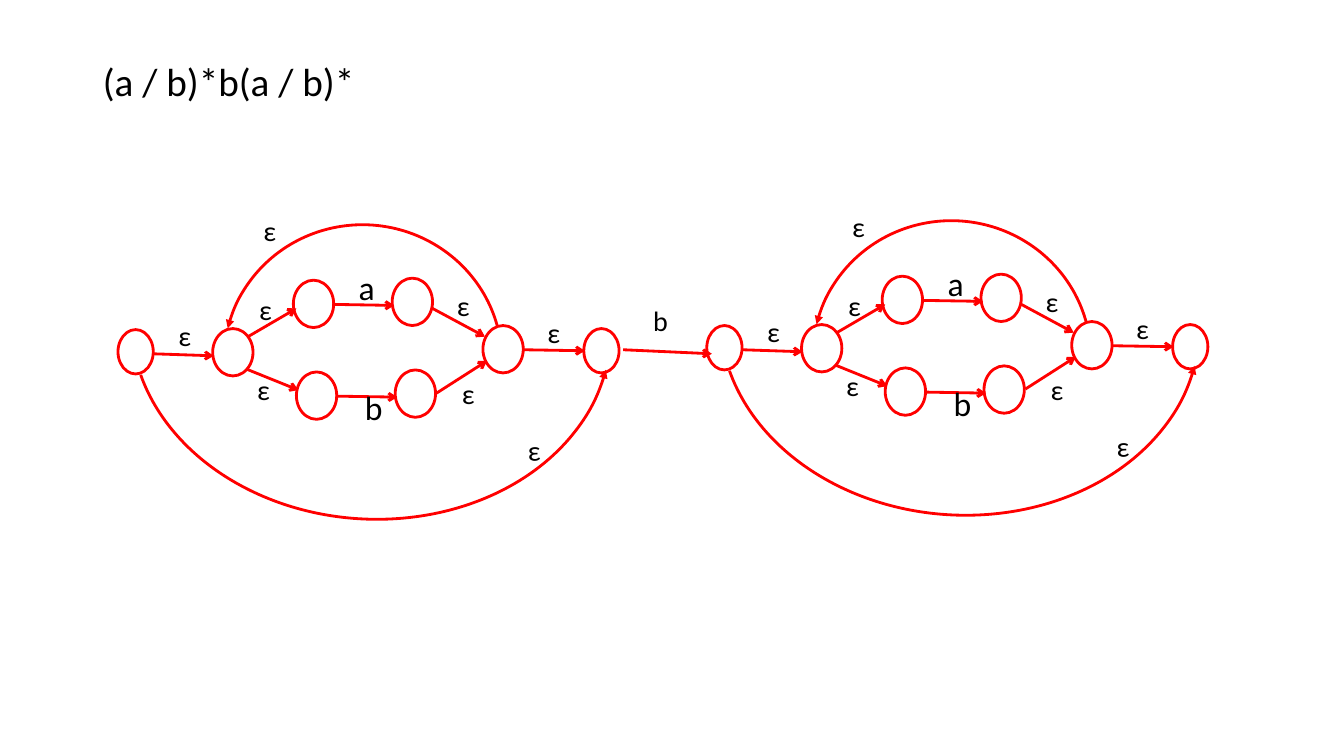
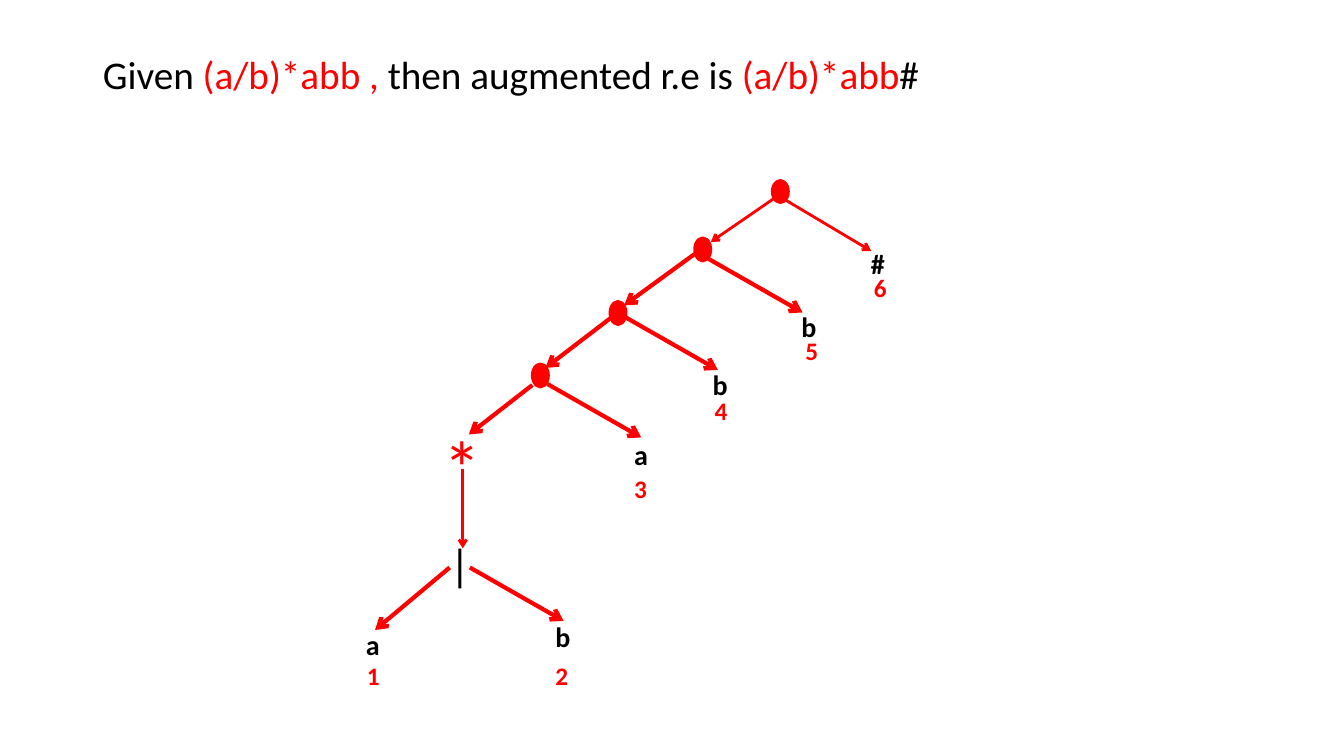
from dataclasses import dataclass
from typing import NamedTuple

from lxml import etree
from pptx import Presentation
from pptx.dml.color import RGBColor
from pptx.enum.shapes import MSO_CONNECTOR, MSO_SHAPE
from pptx.enum.text import MSO_ANCHOR, MSO_AUTO_SIZE, PP_ALIGN
from pptx.oxml import parse_xml
from pptx.oxml.ns import nsdecls, qn
from pptx.shapes.autoshape import Shape
from pptx.shapes.shapetree import GroupShapes
from pptx.slide import Slide
from pptx.util import Inches, Pt


@dataclass(frozen=True)
class Theme:
    font: str = "Calibri"
    red: RGBColor = RGBColor(0xFF, 0x00, 0x00)
    black: RGBColor = RGBColor(0x00, 0x00, 0x00)
    heading: int = 28
    letter: int = 24
    symbol: int = 20
    position: int = 18
    star: int = 54
    bar: int = 32
    line: float = 2
    heavy_line: float = 3


THEME = Theme()


class Span(NamedTuple):
    text: str
    color: RGBColor = THEME.black


class Label(NamedTuple):
    text: str
    left: float
    top: float
    width: float = 0.22
    height: float = 0.23
    size: int = THEME.symbol
    color: RGBColor = THEME.black
    bold: bool = False
    rotation: float = 0


class State(NamedTuple):
    left: float
    top: float
    width: float = 0.4
    height: float = 0.47


class Arrow(NamedTuple):
    x1: float
    y1: float
    x2: float
    y2: float
    weight: float = THEME.line


class Loop(NamedTuple):
    """Part of a turned ellipse, clockwise between two angles, pointing at its start."""
    center_x: float
    center_y: float
    width: float
    height: float
    rotation: float
    start: float
    end: float


class Leaf(NamedTuple):
    symbol: str
    left: float
    top: float
    position: str
    position_left: float
    position_top: float


OUTER = (0.35, 0.44)
SMALL = (0.17, 0.18)
STATES = [
    State(2.91, 2.78), State(3.89, 2.76), State(2.94, 3.69), State(3.92, 3.67),
    State(2.11, 3.26), State(4.79, 3.23), State(1.17, 3.27, *OUTER), State(5.79, 3.26, *OUTER),
]
TRANSITIONS = [
    Arrow(3.3, 3.02, 3.91, 3.03), Arrow(3.33, 3.93, 3.94, 3.94),
    Arrow(2.46, 3.34, 2.94, 3.06), Arrow(2.44, 3.66, 2.96, 3.87),
    Arrow(4.29, 3.06, 4.81, 3.34), Arrow(4.33, 3.9, 4.83, 3.58),
    Arrow(1.52, 3.51, 2.12, 3.53), Arrow(5.19, 3.47, 5.8, 3.48),
]
LOOPS = [
    Loop(3.6, 3.58, 2.76, 2.7, 4.2, 189.3, 341.6),
    Loop(3.68, 3.23, 4.76, 3.84, 3.3, 7.4, 164.6),
]
TRANSITION_LABELS = [
    Label("a", 3.46, 2.6, 0.26, 0.22, THEME.letter),
    Label("b", 3.52, 3.79, 0.22, 0.22, THEME.letter),
    Label("ε", 2.51, 2.85, 0.16, 0.22), Label("ε", 2.48, 3.65, *SMALL),
    Label("ε", 4.46, 2.81, *SMALL), Label("ε", 4.51, 3.69, *SMALL),
    Label("ε", 1.67, 3.11), Label("ε", 5.33, 3.08),
    Label("ε", 2.57, 2.07, 0.14, 0.38), Label("ε", 5.17, 4.25, 0.16, 0.37, rotation=357.5),
]
AUTOMATON_OFFSETS = [(0, 0), (5.84, -0.04)]

TREE_DOTS = [
    State(7.66, 1.79, 0.16, 0.22), State(6.89, 2.36, 0.16, 0.23),
    State(6.05, 2.99, 0.16, 0.23), State(5.28, 3.61, 0.16, 0.23),
]
HEAVY = THEME.heavy_line
TREE_BRANCHES = [
    Arrow(7.69, 1.96, 7.05, 2.4), Arrow(7.75, 1.96, 8.64, 2.49),
    Arrow(6.89, 2.52, 6.19, 3.03, HEAVY), Arrow(7.03, 2.57, 7.96, 3.1, HEAVY),
    Arrow(6.05, 3.16, 5.41, 3.65, HEAVY), Arrow(6.19, 3.14, 7.12, 3.67, HEAVY),
    Arrow(5.28, 3.82, 4.65, 4.31, HEAVY), Arrow(5.43, 3.81, 6.36, 4.34, HEAVY),
    Arrow(4.59, 4.65, 4.59, 5.44),
    Arrow(4.46, 5.63, 3.72, 6.25, HEAVY), Arrow(4.66, 5.63, 5.59, 6.16, HEAVY),
]
TREE_LEAVES = [
    Leaf("a", 3.53, 6.18, "1", 3.54, 6.5),
    Leaf("b", 5.41, 6.1, "2", 5.41, 6.5),
    Leaf("a", 6.19, 4.29, "3", 6.19, 4.65),
    Leaf("b", 6.97, 3.6, "4", 6.99, 3.87),
    Leaf("b", 7.85, 3.02, "5", 7.89, 3.28),
    Leaf("#", 8.54, 2.4, "6", 8.57, 2.65),
]
TREE_OPERATORS = [
    Label("*", 4.3, 4.12, 0.58, 0.69, THEME.star, THEME.red),
    Label("|", 4.36, 5.28, 0.29, 0.44, THEME.bar),
]


def add_heading(slide: Slide, top: float, spans: list[Span]) -> None:
    title = slide.shapes.title
    title.left, title.top = Inches(0.92), Inches(top)
    title.width, title.height = Inches(11.5), Inches(0.6)
    frame = title.text_frame
    frame.word_wrap = True
    frame.auto_size = MSO_AUTO_SIZE.NONE
    frame.vertical_anchor = MSO_ANCHOR.TOP
    paragraph = frame.paragraphs[0]
    paragraph.alignment = PP_ALIGN.LEFT
    paragraph.line_spacing = 0.9
    for span in spans:
        run = paragraph.add_run()
        run.text = span.text
        run.font.name = THEME.font
        run.font.size = Pt(THEME.heading)
        run.font.color.rgb = span.color


def add_label(shapes: GroupShapes, label: Label, dx: float = 0, dy: float = 0) -> None:
    box = shapes.add_textbox(Inches(label.left + dx), Inches(label.top + dy),
                             Inches(label.width), Inches(label.height))
    box.rotation = label.rotation
    frame = box.text_frame
    frame.word_wrap = True
    frame.text = label.text
    font = frame.paragraphs[0].runs[0].font
    font.name = THEME.font
    font.size = Pt(label.size)
    font.bold = label.bold
    font.color.rgb = label.color


def style_outline(shape: Shape, filled: bool = False) -> None:
    shape.shadow.inherit = False
    if filled:
        shape.fill.solid()
        shape.fill.fore_color.rgb = THEME.red
    else:
        shape.fill.background()
    shape.line.color.rgb = THEME.red
    shape.line.width = Pt(THEME.line)


def add_state(shapes: GroupShapes, state: State, dx: float = 0, dy: float = 0,
              filled: bool = False) -> None:
    shape = shapes.add_shape(MSO_SHAPE.OVAL, Inches(state.left + dx), Inches(state.top + dy),
                             Inches(state.width), Inches(state.height))
    style_outline(shape, filled)


def add_arrow(shapes: GroupShapes, arrow: Arrow, dx: float = 0, dy: float = 0) -> None:
    connector = shapes.add_connector(
        MSO_CONNECTOR.STRAIGHT, Inches(arrow.x1 + dx), Inches(arrow.y1 + dy),
        Inches(arrow.x2 + dx), Inches(arrow.y2 + dy))
    connector.line.color.rgb = THEME.red
    connector.line.width = Pt(arrow.weight)
    line = connector.line._get_or_add_ln()
    line.append(parse_xml(f'<a:tailEnd {nsdecls("a")} type="arrow"/>'))
    etree.SubElement(line.getparent(), qn("a:effectLst"))


def add_loop(shapes: GroupShapes, loop: Loop, dx: float, dy: float) -> None:
    shape = shapes.add_shape(
        MSO_SHAPE.ARC, Inches(loop.center_x - loop.width / 2 + dx),
        Inches(loop.center_y - loop.height / 2 + dy), Inches(loop.width), Inches(loop.height))
    # Angles are stored in 60000ths of a degree, adjustments in 100000ths.
    shape.adjustments[0] = loop.start * 0.6
    shape.adjustments[1] = loop.end * 0.6
    shape.rotation = loop.rotation
    style_outline(shape)
    line = shape.line._get_or_add_ln()
    line.append(parse_xml(f'<a:headEnd {nsdecls("a")} type="triangle"/>'))


def add_automaton(slide: Slide, dx: float, dy: float) -> None:
    """Draw the automaton for (a / b)* as one group."""
    shapes = slide.shapes.add_group_shape().shapes
    for state in STATES:
        add_state(shapes, state, dx, dy)
    for transition in TRANSITIONS:
        add_arrow(shapes, transition, dx, dy)
    for loop in LOOPS:
        add_loop(shapes, loop, dx, dy)
    for label in TRANSITION_LABELS:
        add_label(shapes, label, dx, dy)


def build_automaton_slide(slide: Slide) -> None:
    add_heading(slide, 0.57, [Span("(a / b)*b(a / b)*")])
    for dx, dy in AUTOMATON_OFFSETS:
        add_automaton(slide, dx, dy)
    add_arrow(slide.shapes, Arrow(6.18, 3.47, 7.06, 3.51))
    add_label(slide.shapes, Label("b", 6.38, 2.96, 0.37, 0.37))


def build_syntax_tree_slide(slide: Slide) -> None:
    add_heading(slide, 0.5, [
        Span("Given "), Span("(a/b)*abb , ", THEME.red), Span("then augmented r.e is "),
        Span("(a/b)*abb", THEME.red), Span("#"),
    ])
    shapes = slide.shapes
    for dot in TREE_DOTS:
        add_state(shapes, dot, filled=True)
    for branch in TREE_BRANCHES:
        add_arrow(shapes, branch)
    for operator in TREE_OPERATORS:
        add_label(shapes, operator)
    for leaf in TREE_LEAVES:
        add_label(shapes, Label(leaf.symbol, leaf.left, leaf.top, 0.32, 0.44, bold=True))
        add_label(shapes, Label(leaf.position, leaf.position_left, leaf.position_top, 0.4, 0.4,
                                THEME.position, THEME.red, bold=True))


def main() -> None:
    presentation = Presentation()
    presentation.slide_width, presentation.slide_height = Inches(13.33), Inches(7.5)
    title_only = presentation.slide_layouts[5]
    for build in (build_automaton_slide, build_syntax_tree_slide):
        build(presentation.slides.add_slide(title_only))
    presentation.save("out.pptx")


if __name__ == "__main__":
    main()
